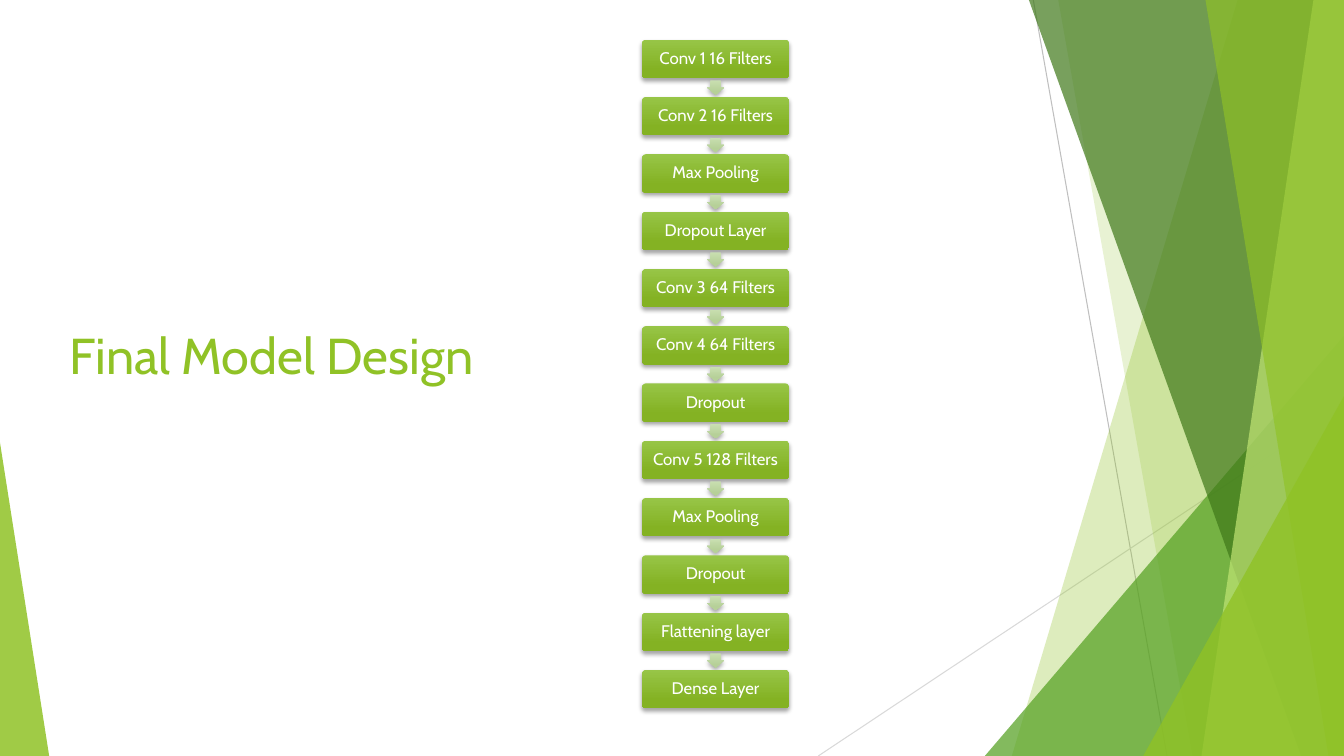
from collections import namedtuple

from lxml.etree import SubElement
from pptx import Presentation
from pptx.dml.color import RGBColor
from pptx.enum.shapes import MSO_CONNECTOR as Connector, MSO_SHAPE as Shape
from pptx.enum.text import MSO_ANCHOR as Anchor, PP_ALIGN as Align
from pptx.oxml.ns import qn
from pptx.util import Cm, Pt

Box = namedtuple("Box", "left top width height")

FONT = "Cabin"
GREEN = "90C226"
WHITE = "FFFFFF"
LAYERS = [
    "Conv 1 16 Filters", "Conv 2 16 Filters", "Max Pooling", "Dropout Layer",
    "Conv 3 64 Filters", "Conv 4 64 Filters", "Dropout", "Conv 5 128 Filters",
    "Max Pooling", "Dropout", "Flattening layer", "Dense Layer",
]


def color(hex_code):
    """Turn a hex string into a colour."""
    return RGBColor.from_string(hex_code)


def fill_translucent(shape, hex_code, opacity):
    """Fill a shape with a see-through colour and no outline."""
    shape.shadow.inherit = False
    shape.line.fill.background()
    shape.fill.solid()
    shape.fill.fore_color.rgb = color(hex_code)
    rgb = shape.fill._xPr.find(qn("a:solidFill")).find(qn("a:srgbClr"))
    SubElement(rgb, qn("a:alpha"), val=str(opacity * 1000))


def fill_raised(shape, top_hex, bottom_hex):
    """Give a shape a downward gradient and a soft shadow below it."""
    shape.line.fill.background()
    shape.fill.gradient()
    shape.fill.gradient_angle = 270
    stops = shape.fill.gradient_stops
    for stop, position, hex_code in zip(stops, (0, 0.78), (top_hex, bottom_hex)):
        stop.position = position
        stop.color.rgb = color(hex_code)
    shape.shadow.inherit = False
    effects = shape._element.spPr.find(qn("a:effectLst"))
    shadow = SubElement(effects, qn("a:outerShdw"), blurRad=str(Pt(3)),
                        dist=str(Pt(2)), dir="5400000", algn="ctr", rotWithShape="0")
    rgb = SubElement(shadow, qn("a:srgbClr"), val="000000")
    SubElement(rgb, qn("a:alpha"), val="35000")


def write(shape, text, size, hex_code):
    """Set the text of a shape and format its runs."""
    shape.text_frame.text = text
    for run in shape.text_frame.paragraphs[0].runs:
        run.font.name = FONT
        run.font.size = Pt(size)
        run.font.color.rgb = color(hex_code)


def add_shape(slide, kind, box, adjustments):
    """Add a preset shape with its adjustments."""
    shape = slide.shapes.add_shape(kind, *map(Cm, box))
    for index, value in enumerate(adjustments):
        shape.adjustments[index] = value
    return shape


def add_line(slide, box, start, end, hex_code):
    """Draw a thin line between two points of the box."""
    points = [Cm(value) for x, y in (start, end) for value in (box.left + x, box.top + y)]
    line = slide.shapes.add_connector(Connector.STRAIGHT, *points)
    line.line.width = Pt(0.75)
    line.line.color.rgb = color(hex_code)
    SubElement(line._element.spPr, qn("a:effectLst"))


def add_panel(slide, box, head, foot, hex_code, opacity):
    """Fill the box to the right of a slanted edge from head to foot."""
    right, bottom = box.left + box.width, box.top + box.height
    corners = [(box.left + head, box.top), (right, box.top),
               (right, bottom), (box.left + foot, bottom)]
    corners = [(Cm(x), Cm(y)) for x, y in corners]
    builder = slide.shapes.build_freeform(*corners[0], scale=1.0)
    builder.add_line_segments(corners[1:], close=True)
    fill_translucent(builder.convert_to_shape(), hex_code, opacity)


def add_wedge(slide, box, width, height, apex, hex_code, opacity):
    """Place a right triangle in the bottom corner below its apex."""
    left = box.left + apex * (box.width - width)
    corner = Box(left, box.top + box.height - height, width, height)
    wedge = add_shape(slide, Shape.ISOSCELES_TRIANGLE, corner, [apex])
    fill_translucent(wedge, hex_code, opacity)


def add_decoration(slide, box):
    """Draw the overlapping green facets at both sides of the box."""
    add_line(slide, box, (26.04, 0), (29.41, box.height), "BFBFBF")
    add_line(slide, box, (box.width, 10.24), (20.62, box.height), "D9D9D9")
    add_panel(slide, box, 31.19, 25.5, GREEN, 30)
    add_panel(slide, box, 26.67, 30.05, GREEN, 20)
    add_wedge(slide, box, 9.05, 10.59, 1, "54A021", 72)
    add_panel(slide, box, 25.93, 32.79, "3F7819", 70)
    add_panel(slide, box, 33.1, 30.28, "C0E474", 70)
    add_panel(slide, box, 30.38, 33.48, GREEN, 65)
    add_wedge(slide, box, 5.06, 9.07, 1, GREEN, 80)
    add_wedge(slide, box, 1.24, 7.9, 0, GREEN, 85)


def add_title(slide, box):
    """Write the slide title at the top of the box."""
    title = slide.shapes.add_textbox(*map(Cm, box))
    title.text_frame.word_wrap = True
    title.text_frame.vertical_anchor = Anchor.TOP
    write(title, "Final Model Design", 36, GREEN)


def add_layer(slide, box, label):
    """Draw one labelled network layer."""
    layer = add_shape(slide, Shape.ROUNDED_RECTANGLE, box, [0.1])
    fill_raised(layer, "97C547", "84B223")
    write(layer, label, 12, WHITE)
    frame = layer.text_frame
    frame.word_wrap = True
    frame.vertical_anchor = Anchor.MIDDLE
    frame.margin_left = frame.margin_right = Cm(0.15)
    frame.margin_top = frame.margin_bottom = Cm(0.15)
    frame.paragraphs[0].alignment = Align.CENTER
    frame.paragraphs[0].line_spacing = 0.9


def add_flow(slide, box, labels):
    """Stack the layers evenly in the box with an arrow in each gap."""
    layer_height, arrow_width, arrow_height = 0.97, 0.43, 0.36
    pitch = (box.height - layer_height) / (len(labels) - 1)
    arrow_left = box.left + (box.width - arrow_width) / 2
    arrow_offset = (pitch + layer_height - arrow_height) / 2
    for index, label in enumerate(labels):
        top = box.top + index * pitch
        if index:
            arrow_box = Box(arrow_left, top - pitch + arrow_offset, arrow_width, arrow_height)
            arrow = add_shape(slide, Shape.DOWN_ARROW, arrow_box, [0.6, 0.5])
            fill_raised(arrow, "C9DFB1", "B6D098")
        add_layer(slide, Box(box.left, top, box.width, layer_height), label)


def main():
    """Build and save the presentation."""
    presentation = Presentation()
    page = Box(0, 0, 33.87, 19.05)
    presentation.slide_width = Cm(page.width)
    presentation.slide_height = Cm(page.height)
    slide = presentation.slides.add_slide(presentation.slide_layouts[6])
    add_decoration(slide, page)
    add_title(slide, Box(1.5, 8.05, 23.88, 3.66))
    add_flow(slide, Box(16.18, 1, 3.71, 16.85), LAYERS)
    presentation.save("out.pptx")


if __name__ == "__main__":
    main()
